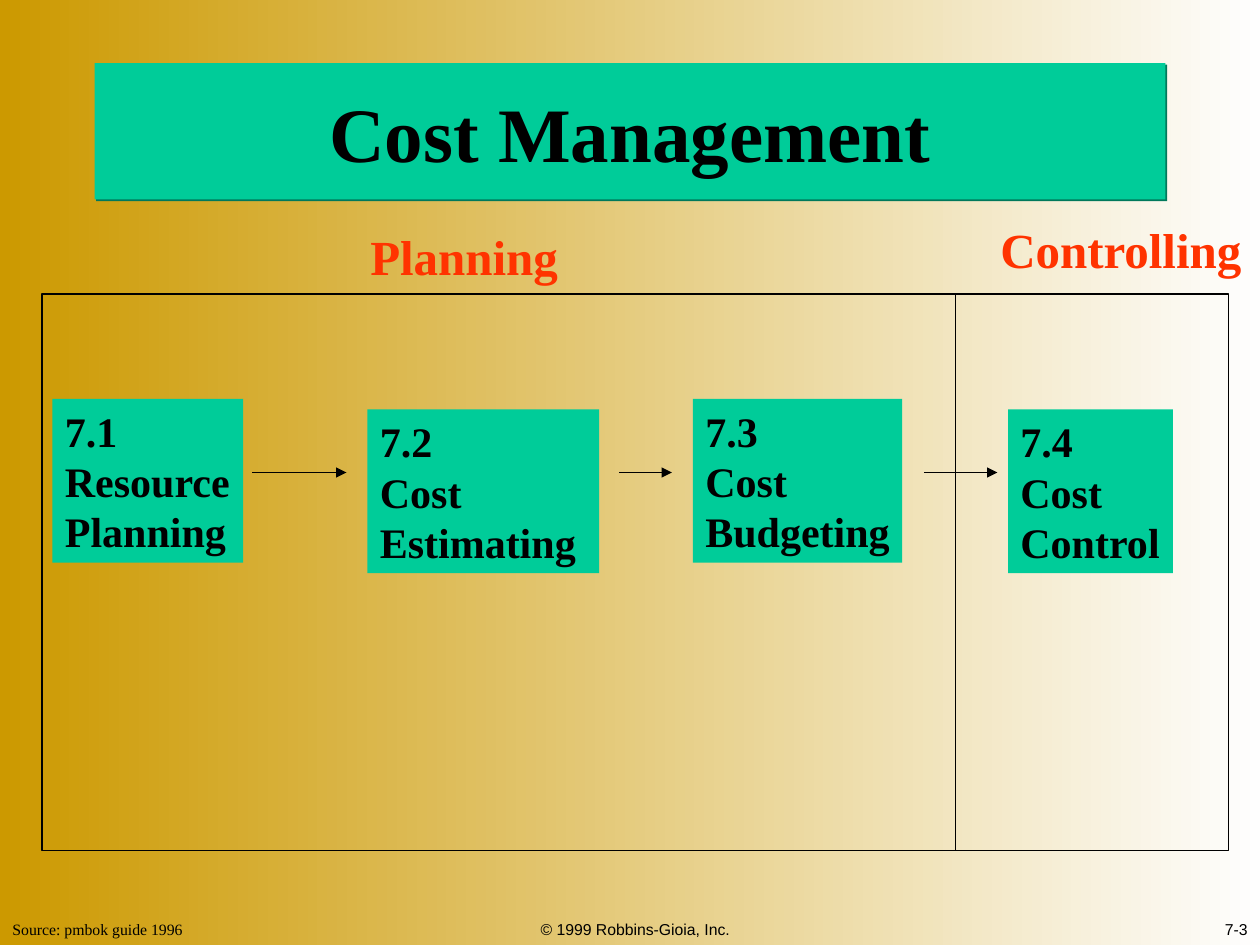
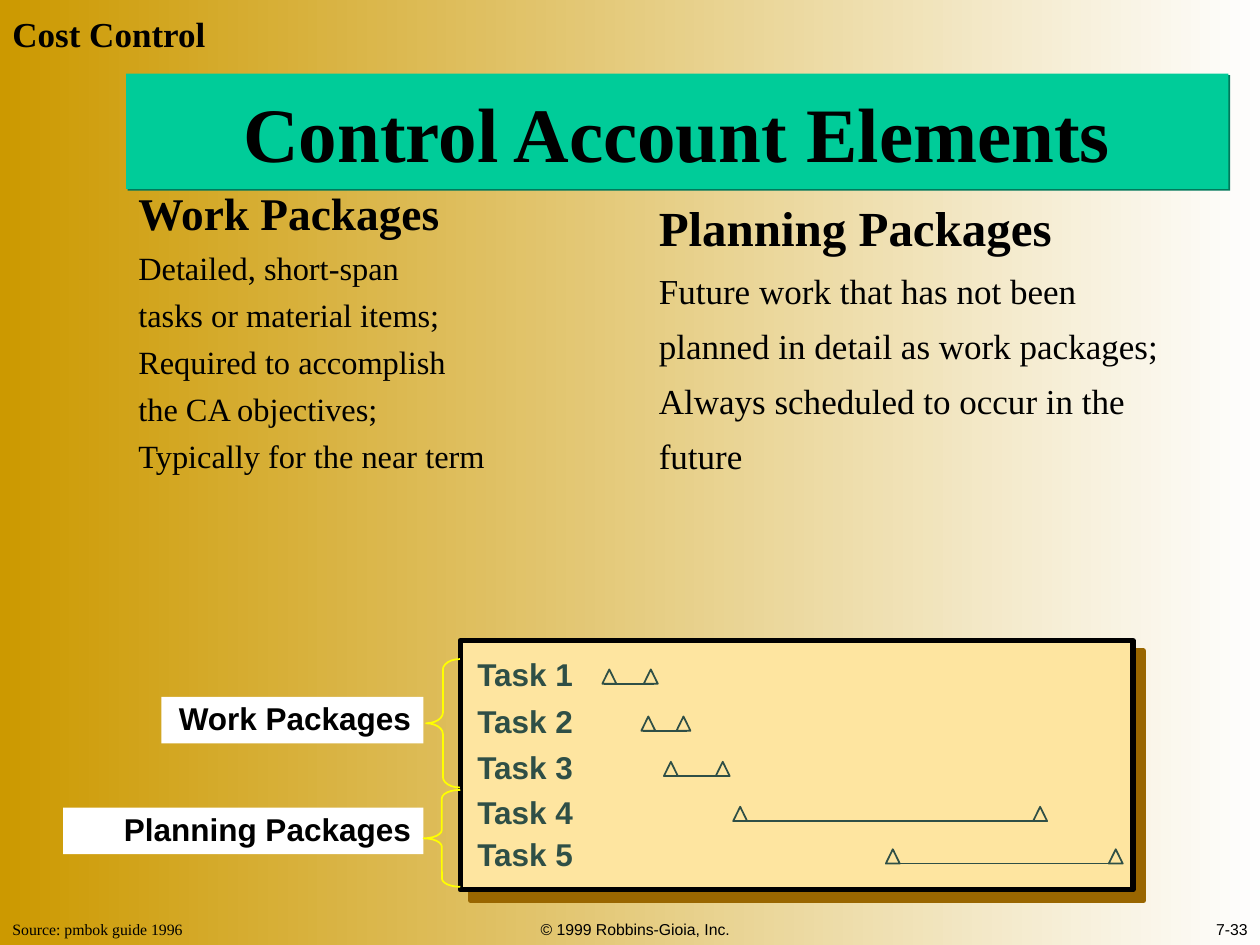
from pptx import Presentation
from pptx.dml.color import RGBColor as RGB
from pptx.enum.shapes import MSO_CONNECTOR as LINK, MSO_SHAPE as SHAPE
from pptx.enum.text import MSO_ANCHOR as ANCHOR, MSO_AUTO_SIZE as FIT, PP_ALIGN as ALIGN
from pptx.oxml import parse_xml
from pptx.oxml.ns import nsdecls, qn
from pptx.util import Pt

# Colours
BLACK = RGB(0x00, 0x00, 0x00)
WHITE = RGB(0xFF, 0xFF, 0xFF)
PALE = RGB(0xFE, 0xFE, 0xFE)
GOLD = RGB(0xCC, 0x99, 0x00)
GREEN = RGB(0x00, 0xCC, 0x99)
MOSS = RGB(0x00, 0x79, 0x5B)
RED = RGB(0xFF, 0x33, 0x00)
CREAM = RGB(0xFE, 0xE5, 0xA0)
BROWN = RGB(0x99, 0x66, 0x00)
SLATE = RGB(0x2F, 0x4F, 0x46)
YELLOW = RGB(0xFF, 0xFF, 0x00)

# Text styles
SERIF, SANS = "Times New Roman", "Arial"
TITLE = dict(name=SERIF, size=Pt(44), bold=True)
STEP = dict(name=SERIF, size=Pt(24), bold=True)
PHASE = dict(name=SERIF, size=Pt(28), bold=True)
TOPIC = dict(name=SERIF, size=Pt(20), bold=True)
TASK = dict(name=SANS, size=Pt(18), bold=True)
NOTE = dict(name=SANS, size=Pt(9))
CITE = dict(name=SERIF, size=Pt(9))


def write(shape, rows, color=BLACK, align=ALIGN.LEFT, anchor=ANCHOR.TOP,
          wrap=True, grow=False, space=None, pad=(7.2, 3.6)):
    """Fill a shape with (text, style) rows."""
    frame = shape.text_frame
    across, down = map(Pt, pad)
    form = dict(word_wrap=wrap, vertical_anchor=anchor,
                auto_size=FIT.SHAPE_TO_FIT_TEXT if grow else FIT.NONE,
                margin_left=across, margin_right=across,
                margin_top=down, margin_bottom=down)
    for key, value in form.items():
        setattr(frame, key, value)
    for i, (text, style) in enumerate(rows):
        para = frame.add_paragraph() if i else frame.paragraphs[0]
        para.alignment = align
        if space:
            para.line_spacing = space
        run = para.add_run()
        run.text = text
        for key, value in style.items():
            setattr(run.font, key, value)
        run.font.color.rgb = color


def label(slide, box, rows, **form):
    text = slide.shapes.add_textbox(*map(Pt, box))
    write(text, rows, **form)


def draw(slide, kind, box, fill=None, line=None, width=1):
    shape = slide.shapes.add_shape(kind, *map(Pt, box))
    shape.shadow.inherit = False
    if fill is None:
        shape.fill.background()
    else:
        shape.fill.solid()
        shape.fill.fore_color.rgb = fill
    if line is None:
        shape.line.fill.background()
    else:
        shape.line.color.rgb = line
        shape.line.width = Pt(width)
    return shape


def shade(shape, color, dist):
    """Give a shape a hard shadow to the lower right."""
    shape.shadow.inherit = False
    shape._element.spPr.find(qn("a:effectLst")).append(parse_xml(
        f'<a:outerShdw {nsdecls("a")} dist="{Pt(dist)}" dir="2700000" '
        f'algn="ctr" rotWithShape="0"><a:srgbClr val="{color}"/></a:outerShdw>'))


def rule(slide, x1, y1, x2, y2, color=BLACK, width=0.75, arrow=False):
    line = slide.shapes.add_connector(LINK.STRAIGHT, *map(Pt, (x1, y1, x2, y2)))
    line.line.color.rgb = color
    line.line.width = Pt(width)
    if arrow:
        line.line._get_or_add_ln().append(
            parse_xml(f'<a:tailEnd {nsdecls("a")} type="triangle"/>'))
    line._element.spPr.append(parse_xml(f'<a:effectLst {nsdecls("a")}/>'))


def paint(master):
    """Gold-to-white background for every slide."""
    fill = master.background.fill
    fill.gradient()
    fill.gradient_angle = 0
    for stop, color in zip(fill.gradient_stops, (GOLD, PALE)):
        stop.color.rgb = color


def start(deck, title, box, page):
    """Add a slide with its title band and footers."""
    slide = deck.slides.add_slide(deck.slide_layouts[5])
    band = slide.shapes.title
    band.left, band.top, band.width, band.height = map(Pt, box)
    band.fill.solid()
    band.fill.fore_color.rgb = GREEN
    shade(band, MOSS, 1.4)
    write(band, [(title, TITLE)], align=ALIGN.CENTER, anchor=ANCHOR.MIDDLE)

    label(slide, (0, 522, 111.6, 18), [("Source: pmbok guide 1996", CITE)],
          wrap=False, grow=True)
    label(slide, (246, 504, 234, 36), [("© 1999 Robbins-Gioia, Inc.", NOTE)],
          align=ALIGN.CENTER, anchor=ANCHOR.BOTTOM)
    label(slide, (486, 504, 234, 36), [(page, NOTE)],
          align=ALIGN.RIGHT, anchor=ANCHOR.BOTTOM)
    return slide


def flow(deck):
    slide = start(deck, "Cost Management", (54, 36, 612, 78), "7-3")

    # Phases
    draw(slide, SHAPE.RECTANGLE, (24, 168, 678, 318), line=BLACK, width=0.75)
    rule(slide, 546, 168, 546, 486)
    for text, box in (("Planning", (204.5, 126, 121.7, 41)),
                      ("Controlling", (564.5, 121.7, 152.6, 41))):
        label(slide, box, [(text, PHASE)], color=RED, wrap=False, grow=True)

    # Steps and arrows
    steps = [(30, 228, 109, ("7.1", "Resource", "Planning")),
             (210, 234, 132.5, ("7.2", "Cost", "Estimating")),
             (396, 228, 119.5, ("7.3", "Cost", "Budgeting")),
             (576, 234, 94.3, ("7.4", "Cost", "Control"))]
    for x, y, w, words in steps:
        box = draw(slide, SHAPE.RECTANGLE, (x, y, w, 93.6), GREEN)
        write(box, [(word, STEP) for word in words], wrap=False, grow=True)
    for x1, x2 in ((144, 198), (354, 384), (528, 570)):
        rule(slide, x1, 270, x2, 270, arrow=True)


def chart(slide):
    """Task board with bars between triangles."""
    board = draw(slide, SHAPE.RECTANGLE, (263, 366, 384.5, 142.5), CREAM, BLACK, 3)
    shade(board, BROWN, 8.5)
    tasks = [(390.7, 344.2, 367.9), (417.6, 366.5, 386.6), (443.5, 379.4, 409),
             (469.2, 419, 590.4), (493.5, 506.2, 633.6)]
    for i, (base, first, last) in enumerate(tasks, 1):
        label(slide, (265.7, base - 17.3, 70.5, 26.6), [(f"Task {i}", TASK)],
              color=SLATE, wrap=False, grow=True, space=0.9)
        rule(slide, first + 1, base, last + 6, base, SLATE, 1)
        for x in (first, last):
            draw(slide, SHAPE.ISOSCELES_TRIANGLE, (x, base - 8.2, 8, 8.2), line=SLATE)

    # Tags and braces
    groups = [("Work Packages", (92.2, 398.2, 149.8, 26.6),
               (243.4, 376.6, 19.4, 73.4), 0.31),
              ("Planning Packages", (36, 461.5, 206, 26.6),
               (242, 451.4, 21, 55.4), 0.23)]
    for text, box, span, bend in groups:
        tag = draw(slide, SHAPE.RECTANGLE, box, WHITE)
        write(tag, [(text, TASK)], align=ALIGN.RIGHT, space=0.9)
        brace = draw(slide, SHAPE.LEFT_BRACE, span, line=YELLOW)
        brace.adjustments[0] = bend


def parts(deck):
    slide = start(deck, "Control Account Elements", (72, 42, 630, 66), "7-33")
    label(slide, (0, 3.6, 125.3, 31.7), [("Cost Control", TOPIC)],
          wrap=False, grow=True)

    # Two kinds of package
    head = dict(name=SERIF, size=Pt(25.9), bold=True)
    body = dict(name=SERIF, size=Pt(18.5))
    lines = ("Detailed, short-span", "tasks or material items;",
             "Required to accomplish", "the CA objectives;",
             "Typically for the near term")
    label(slide, (72, 96, 294, 180),
          [("Work Packages", head)] + [(line, body) for line in lines], space=1.21)
    label(slide, (371.5, 100, 304, 173.5),
          [("Planning Packages", PHASE),
           ("Future work that has not been planned in detail as work packages; "
            "Always scheduled to occur in the future", dict(TOPIC, bold=False))],
          space=1.31, pad=(5, 2.3))
    chart(slide)


def main():
    deck = Presentation()
    deck.slide_width, deck.slide_height = Pt(720), Pt(540)
    paint(deck.slide_master)
    flow(deck)
    parts(deck)
    deck.save("out.pptx")


if __name__ == "__main__":
    main()
